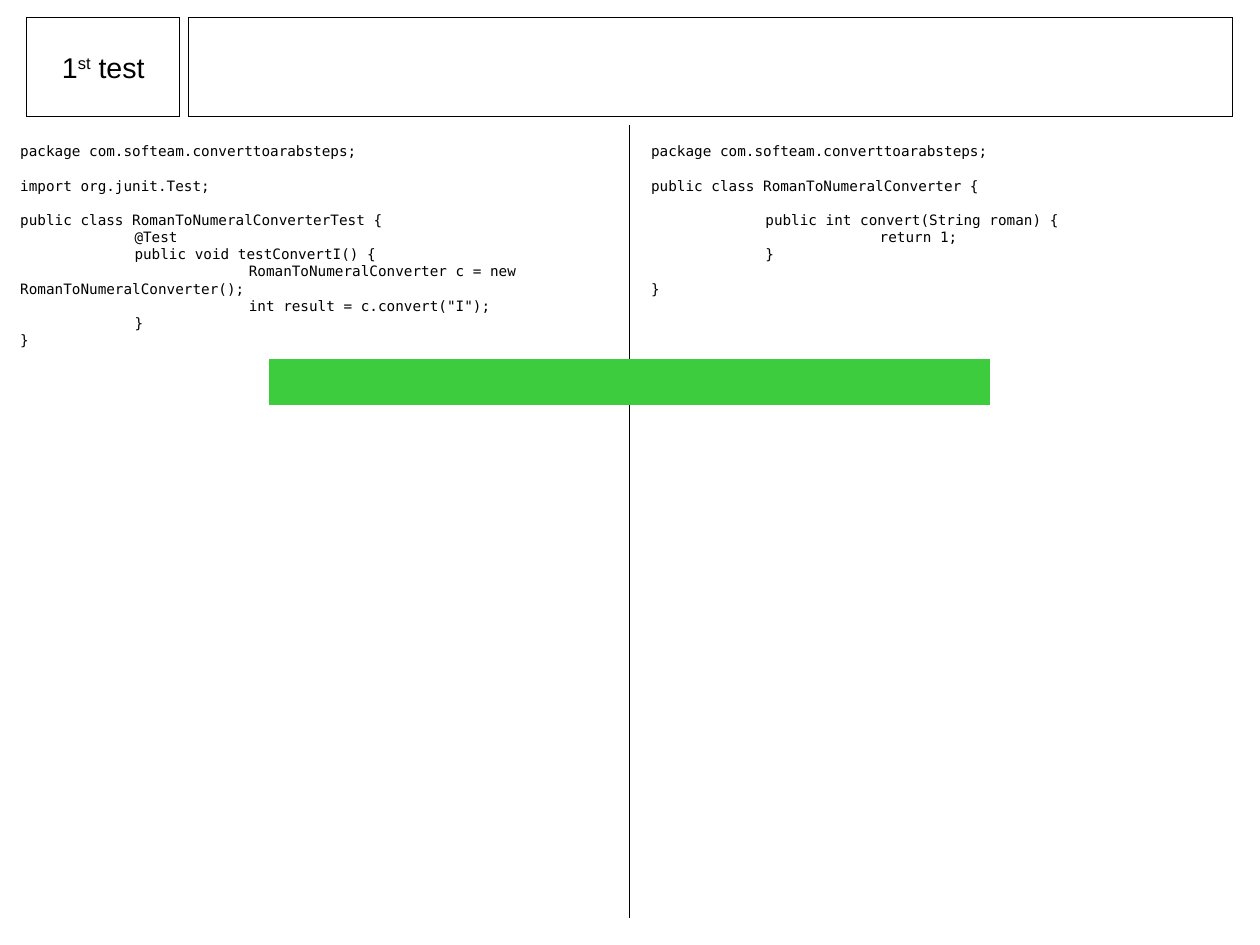
from pptx import Presentation
from pptx.dml.color import RGBColor
from pptx.enum.shapes import MSO_CONNECTOR, MSO_SHAPE
from pptx.enum.text import MSO_ANCHOR, MSO_AUTO_SIZE, PP_ALIGN
from pptx.oxml.ns import qn
from pptx.util import Cm, Pt
from lxml.etree import SubElement

BLACK = RGBColor(0x00, 0x00, 0x00)
GREEN = RGBColor(0x3D, 0xCC, 0x3D)
CODE_FONT = "DejaVu Sans Mono"
TITLE_FONT = "Arial"
CODE_LINE = Pt(10.8)
TAB_WIDTH = Cm(2.54)
HAIRLINE = Pt(0.01)

TEST_CODE = """package com.softeam.converttoarabsteps;

import org.junit.Test;

public class RomanToNumeralConverterTest {
\t@Test
\tpublic void testConvertI() {
\t\tRomanToNumeralConverter c = new RomanToNumeralConverter();
\t\tint result = c.convert("I");
\t}
}"""

CONVERTER_CODE = """package com.softeam.converttoarabsteps;

public class RomanToNumeralConverter {

\tpublic int convert(String roman) {
\t\treturn 1;
\t}

}"""


def add_run(paragraph, text, font_name, size):
    run = paragraph.add_run()
    run.text = text
    run.font.name = font_name
    run.font.size = Pt(size)
    run.font.color.rgb = BLACK
    return run


def outline(shape, color):
    shape.line.color.rgb = color
    shape.line.width = HAIRLINE


def format_title(title):
    title.left, title.top, title.width, title.height = Cm(0.59), Cm(0.39), Cm(3.41), Cm(2.21)
    outline(title, BLACK)
    frame = title.text_frame
    frame.auto_size = MSO_AUTO_SIZE.NONE
    frame.vertical_anchor = MSO_ANCHOR.MIDDLE
    heading = frame.paragraphs[0]
    heading.alignment = PP_ALIGN.CENTER
    add_run(heading, "1", TITLE_FONT, 18)
    ordinal = add_run(heading, "st", TITLE_FONT, 18)
    ordinal.font._element.set("baseline", "33000")
    add_run(heading, " test", TITLE_FONT, 18)


def add_tab_stops(paragraph, count):
    stops = SubElement(paragraph._p.get_or_add_pPr(), qn("a:tabLst"))
    for number in range(1, count + 1):
        SubElement(stops, qn("a:tab"), pos=str(number * TAB_WIDTH), algn="l")


def add_code(slide, left, height, code):
    frame = slide.shapes.add_textbox(Cm(left), Cm(3.04), Cm(13.2), Cm(height)).text_frame
    frame.word_wrap = True
    for block_index, block in enumerate(code.split("\n\n")):
        for line_index, line in enumerate(block.split("\n")):
            first = block_index == line_index == 0
            paragraph = frame.paragraphs[0] if first else frame.add_paragraph()
            if line.startswith("\t"):
                add_tab_stops(paragraph, line.count("\t"))
            if block_index and line_index == 0:
                paragraph.space_before = CODE_LINE
            add_run(paragraph, line, CODE_FONT, 9)


def add_box(slide, left, top, width, height, line_color, fill_color=None):
    box = slide.shapes.add_shape(
        MSO_SHAPE.RECTANGLE, Cm(left), Cm(top), Cm(width), Cm(height))
    box.shadow.inherit = False
    if fill_color is None:
        box.fill.background()
    else:
        box.fill.solid()
        box.fill.fore_color.rgb = fill_color
    outline(box, line_color)


def add_divider(slide, x, top, bottom):
    divider = slide.shapes.add_connector(
        MSO_CONNECTOR.STRAIGHT, Cm(x), Cm(top), Cm(x), Cm(bottom))
    outline(divider, BLACK)
    SubElement(divider._element.spPr, qn("a:effectLst"))


def main():
    deck = Presentation()
    deck.slide_width, deck.slide_height = Cm(28), Cm(21)
    slide = deck.slides.add_slide(deck.slide_layouts[5])
    format_title(slide.shapes.title)
    add_divider(slide, 14, 2.8, 20.4)
    add_code(slide, 0.2, 4.72, TEST_CODE)
    add_code(slide, 14.22, 3.6, CONVERTER_CODE)
    add_box(slide, 4.19, 0.39, 23.2, 2.21, BLACK)
    add_box(slide, 6, 8, 16, 1, GREEN, GREEN)
    deck.save("out.pptx")


if __name__ == "__main__":
    main()
